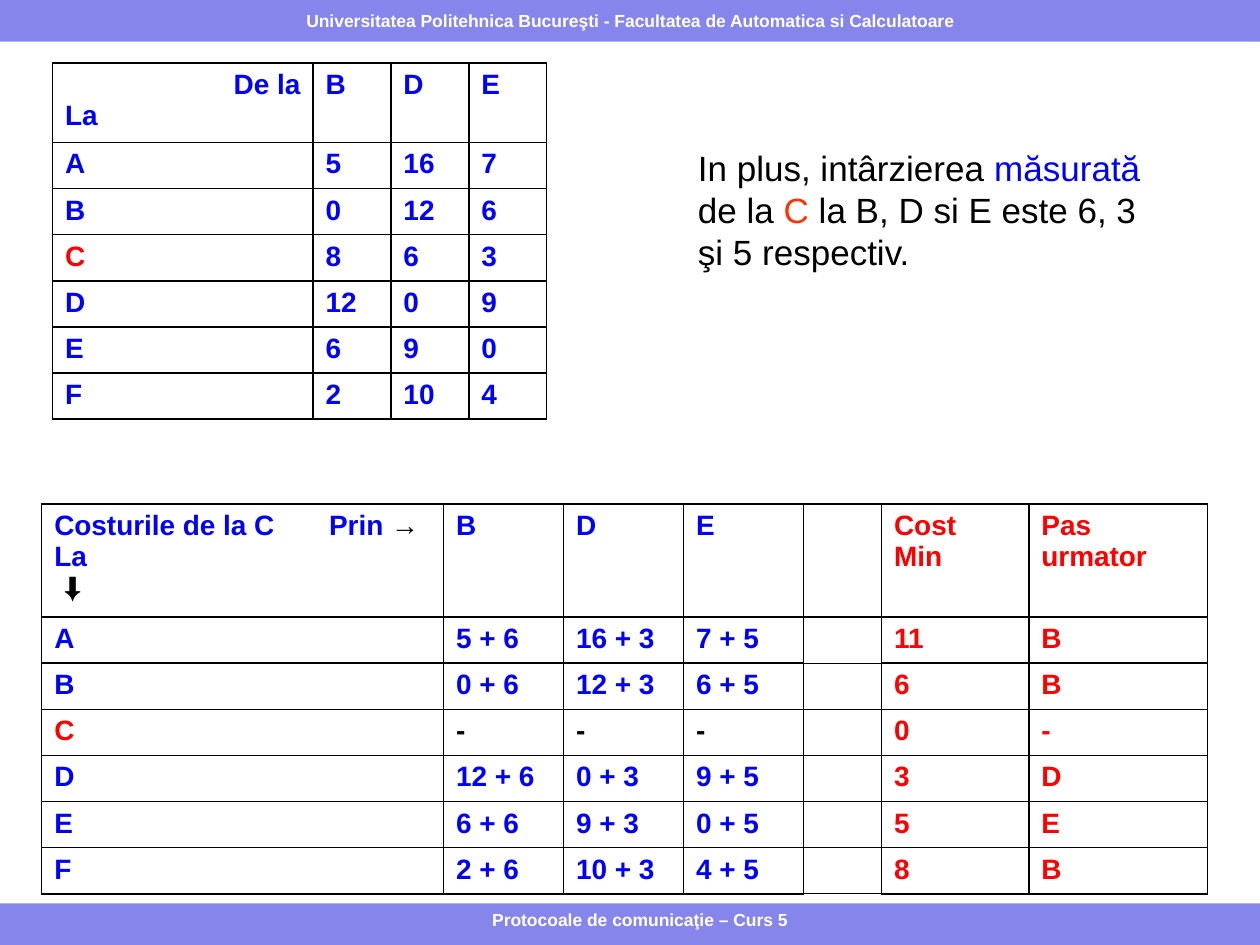
from dataclasses import dataclass

from lxml import etree
from pptx import Presentation
from pptx import util as u
from pptx.dml.color import RGBColor
from pptx.enum import shapes, text
from pptx.oxml import ns


@dataclass(frozen=True)
class Theme:
    font: str = "Arial"
    bar: str = "8585EB"
    white: str = "FFFFFF"
    black: str = "000000"
    blue: str = "0000FF"
    red: str = "FF0000"
    orange: str = "FF3300"
    bar_size: int = 10
    table_size: int = 16
    note_size: int = 20
    border: float = 1
    thin_border: float = 0.75


@dataclass
class Line:
    runs: list
    align: text.PP_ALIGN = text.PP_ALIGN.LEFT
    indent: float = 0
    tab: float = 0


THEME = Theme()
CENTER = text.PP_ALIGN.CENTER
ROW_HEIGHT = 0.93

DELAYS = [
    ["A", "5", "16", "7"],
    ["B", "0", "12", "6"],
    ["C", "8", "6", "3"],
    ["D", "12", "0", "9"],
    ["E", "6", "9", "0"],
    ["F", "2", "10", "4"],
]
COSTS = [
    ["A", "5 + 6", "16 + 3", "7 + 5", "", "11", "B"],
    ["B", "0 + 6", "12 + 3", "6 + 5", "", "6", "B"],
    ["C", "-", "-", "-", "", "0", "-"],
    ["D", "12 + 6", "0 + 3", "9 + 5", "", "3", "D"],
    ["E", "6 + 6", "9 + 3", "0 + 5", "", "5", "E"],
    ["F", "2 + 6", "10 + 3", "4 + 5", "", "8", "B"],
]


def rgb(color):
    return RGBColor.from_string(color)


def write_lines(frame, lines, size, bold=False):
    for index, line in enumerate(lines):
        paragraph = frame.add_paragraph() if index else frame.paragraphs[0]
        paragraph.alignment = line.align
        properties = paragraph._p.get_or_add_pPr()
        if line.indent:
            properties.set("marL", str(u.Cm(line.indent)))
            properties.set("indent", "0")
        if line.tab:
            tabs = etree.SubElement(properties, ns.qn("a:tabLst"))
            etree.SubElement(tabs, ns.qn("a:tab"), pos=str(u.Cm(line.tab)), algn="l")
        paragraph.font.name = THEME.font
        paragraph.font.size = u.Pt(size)
        paragraph.font.bold = bold
        for words, color in line.runs:
            run = paragraph.add_run()
            run.text = words
            run.font.color.rgb = rgb(color)
        if not line.runs:
            etree.SubElement(paragraph._p, ns.qn("a:endParaRPr"), sz=str(size * 100))


def add_bar(slide, top):
    bar = slide.shapes.add_shape(
        shapes.MSO_SHAPE.RECTANGLE, 0, u.Cm(top), u.Cm(25.4), u.Cm(0.84))
    bar.shadow.inherit = False
    bar.fill.solid()
    bar.fill.fore_color.rgb = rgb(THEME.bar)
    bar.line.fill.background()
    return bar


def add_text(slide, left, top, width, height, line, size, bold=False):
    box = slide.shapes.add_textbox(u.Cm(left), u.Cm(top), u.Cm(width), u.Cm(height))
    box.text_frame.word_wrap = True
    write_lines(box.text_frame, [line], size, bold)


def draw_borders(cell, horizontal):
    properties = cell._tc.get_or_add_tcPr()
    widths = {"lnL": THEME.border, "lnR": THEME.border, "lnT": horizontal, "lnB": horizontal}
    for position, (side, width) in enumerate(widths.items()):
        border = etree.Element(ns.qn(f"a:{side}"), w=str(u.Pt(width)))
        fill = etree.SubElement(border, ns.qn("a:solidFill"))
        etree.SubElement(fill, ns.qn("a:srgbClr"), val=THEME.black)
        properties.insert(position, border)


def add_table(slide, left, top, widths, header_height, rows):
    heights = [header_height] + [ROW_HEIGHT] * (len(rows) - 1)
    table = slide.shapes.add_table(
        len(rows), len(widths), u.Cm(left), u.Cm(top),
        u.Cm(sum(widths)), u.Cm(sum(heights))).table
    table.first_row = table.horz_banding = False
    for column, width in zip(table.columns, widths):
        column.width = u.Cm(width)
    for row, height, contents in zip(table.rows, heights, rows):
        row.height = u.Cm(height)
        for cell, lines in zip(row.cells, contents):
            cell.fill.background()
            draw_borders(cell, THEME.border if lines[0].runs else THEME.thin_border)
            write_lines(cell.text_frame, lines, THEME.table_size, bold=True)


def cell_lines(words, color):
    return [Line([(words, color)] if words else [])]


def body_color(words, column):
    if column > 4 or words == "C":
        return THEME.red
    return THEME.black if words == "-" else THEME.blue


def body_rows(data):
    return [[cell_lines(words, body_color(words, column))
             for column, words in enumerate(row)] for row in data]


def main():
    presentation = Presentation()
    presentation.slide_width, presentation.slide_height = u.Cm(25.4), u.Cm(19.05)
    slide = presentation.slides.add_slide(presentation.slide_layouts[6])
    blue, black, red = THEME.blue, THEME.black, THEME.red

    add_bar(slide, 18.21)
    header = add_bar(slide, 0).text_frame
    header.word_wrap = False
    header.vertical_anchor = text.MSO_ANCHOR.MIDDLE
    university = "Universitatea Politehnica Bucureşti - Facultatea de Automatica si Calculatoare"
    write_lines(header, [Line([(university, THEME.white)], CENTER)], THEME.bar_size, bold=True)

    neighbours = [cell_lines(name, blue) for name in "BDE"]
    delay_corner = [Line([("De la", blue)], text.PP_ALIGN.RIGHT), Line([("La", blue)])]
    add_table(slide, 1.06, 1.27, [5.25] + [1.57] * 3, 1.6,
              [[delay_corner, *neighbours]] + body_rows(DELAYS))

    cost_corner = [
        Line([("Costurile de la C\tPrin ", blue), ("→", black)], tab=5.54),
        Line([("La", blue)]),
        Line([("⬇", black)], indent=0.2),
    ]
    results = [[Line([("Cost", red)]), Line([("Min", red)])], cell_lines("Pas urmator", red)]
    add_table(slide, 0.84, 10.16, [8.1] + [2.42] * 3 + [1.57, 2.97, 3.6], 2.28,
              [[cost_corner, *neighbours, cell_lines("", blue), *results]] + body_rows(COSTS))

    note = Line([
        ("In plus, intârzierea ", black), ("măsurată ", blue), ("de la ", black),
        ("C", THEME.orange), (" la B, D si E este 6, 3 şi 5 respectiv.", black),
    ])
    add_text(slide, 13.82, 2.82, 10, 3.68, note, THEME.note_size)
    add_text(slide, 6.55, 18.21, 12.7, 0.84,
             Line([("Protocoale de comunicaţie – Curs 5", THEME.white)], CENTER),
             THEME.bar_size, bold=True)
    presentation.save("out.pptx")


if __name__ == "__main__":
    main()
